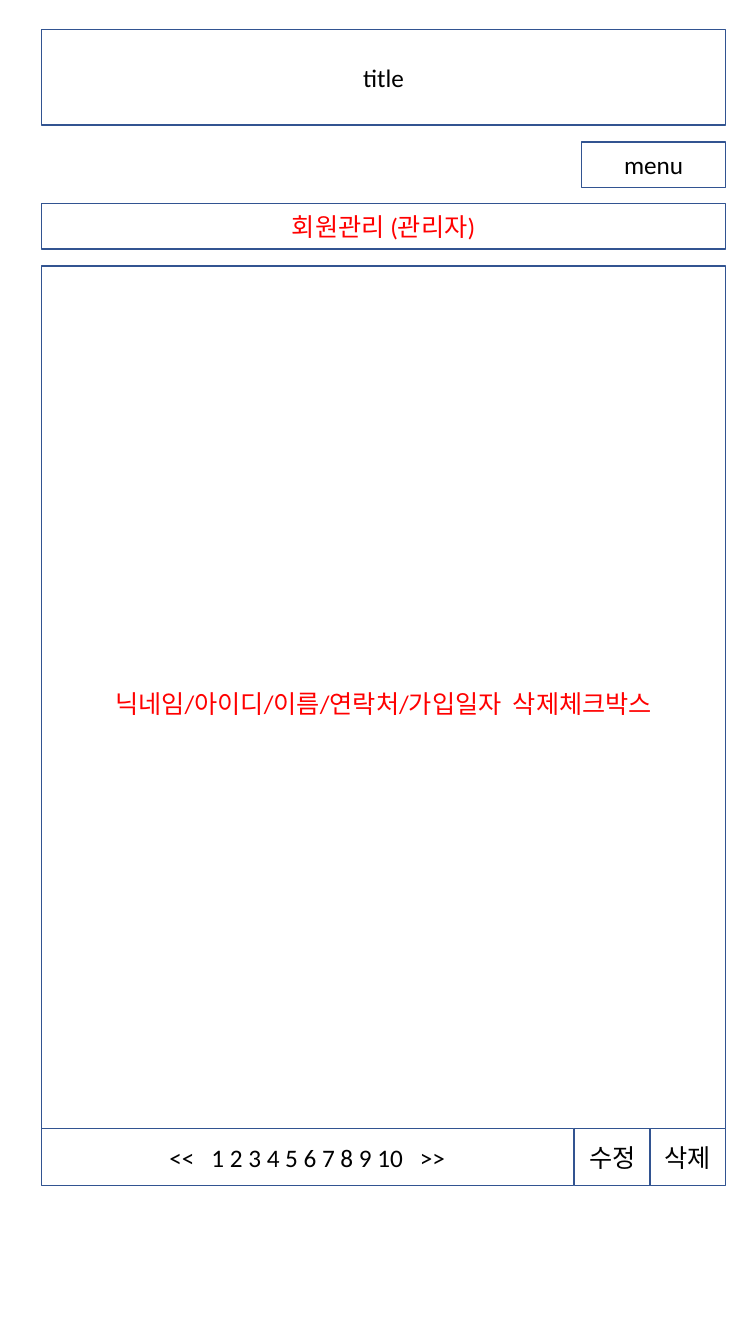
from dataclasses import dataclass

from pptx import Presentation
from pptx.dml.color import RGBColor
from pptx.enum.shapes import MSO_SHAPE
from pptx.enum.text import MSO_ANCHOR, MSO_AUTO_SIZE, PP_ALIGN
from pptx.util import Inches, Pt


@dataclass(frozen=True)
class Theme:
    font: str = "Calibri"
    size: Pt = Pt(18)
    line_width: Pt = Pt(1)
    fill: RGBColor = RGBColor(0xFF, 0xFF, 0xFF)
    line: RGBColor = RGBColor(0x32, 0x54, 0x91)
    text: RGBColor = RGBColor(0x00, 0x00, 0x00)
    highlight: RGBColor = RGBColor(0xFF, 0x00, 0x00)


THEME = Theme()

# Page frame and footer row, in inches
LEFT, WIDTH = 0.41, 6.79
RIGHT = LEFT + WIDTH
MENU_WIDTH, BAR_HEIGHT = 1.43, 0.45
FOOTER_TOP, FOOTER_HEIGHT = 11.19, 0.57
BUTTON_WIDTH = 0.75
PAGER_WIDTH = 5.28


def format_box(shape, text, color):
    """Give a shape the wireframe outline and centred text."""
    shape.fill.solid()
    shape.fill.fore_color.rgb = THEME.fill
    shape.line.color.rgb = THEME.line
    shape.line.width = THEME.line_width
    frame = shape.text_frame
    frame.text = text
    frame.word_wrap = True
    frame.auto_size = MSO_AUTO_SIZE.NONE
    frame.vertical_anchor = MSO_ANCHOR.MIDDLE
    paragraph = frame.paragraphs[0]
    paragraph.alignment = PP_ALIGN.CENTER
    paragraph.font.name = THEME.font
    paragraph.font.size = THEME.size
    paragraph.font.color.rgb = color


def add_box(slide, text, left, top, width, height, color=THEME.text):
    shape = slide.shapes.add_shape(
        MSO_SHAPE.RECTANGLE, Inches(left), Inches(top), Inches(width), Inches(height)
    )
    shape.shadow.inherit = False
    format_box(shape, text, color)


def place_title(slide, text, left, top, width, height):
    title = slide.shapes.title
    title.left, title.top = Inches(left), Inches(top)
    title.width, title.height = Inches(width), Inches(height)
    format_box(title, text, THEME.text)


def main():
    presentation = Presentation()
    presentation.slide_width = Inches(7.5)
    presentation.slide_height = Inches(13.33)
    slide = presentation.slides.add_slide(presentation.slide_layouts[5])

    # Header
    place_title(slide, "title", LEFT, 0.29, WIDTH, 0.95)
    add_box(slide, "menu", RIGHT - MENU_WIDTH, 1.41, MENU_WIDTH, BAR_HEIGHT)
    add_box(slide, "회원관리 (관리자)", LEFT, 2.02, WIDTH, BAR_HEIGHT, THEME.highlight)

    # Member list
    add_box(slide, "닉네임/아이디/이름/연락처/가입일자  삭제체크박스",
            LEFT, 2.64, WIDTH, 8.67, THEME.highlight)

    # Footer: pager and buttons, the buttons set from the right edge
    add_box(slide, "<<   1 2 3 4 5 6 7 8 9 10   >>",
            LEFT, FOOTER_TOP, PAGER_WIDTH, FOOTER_HEIGHT)
    for position, label in enumerate(("삭제", "수정"), start=1):
        add_box(slide, label, RIGHT - position * BUTTON_WIDTH, FOOTER_TOP,
                BUTTON_WIDTH, FOOTER_HEIGHT)

    presentation.save("out.pptx")


if __name__ == "__main__":
    main()
